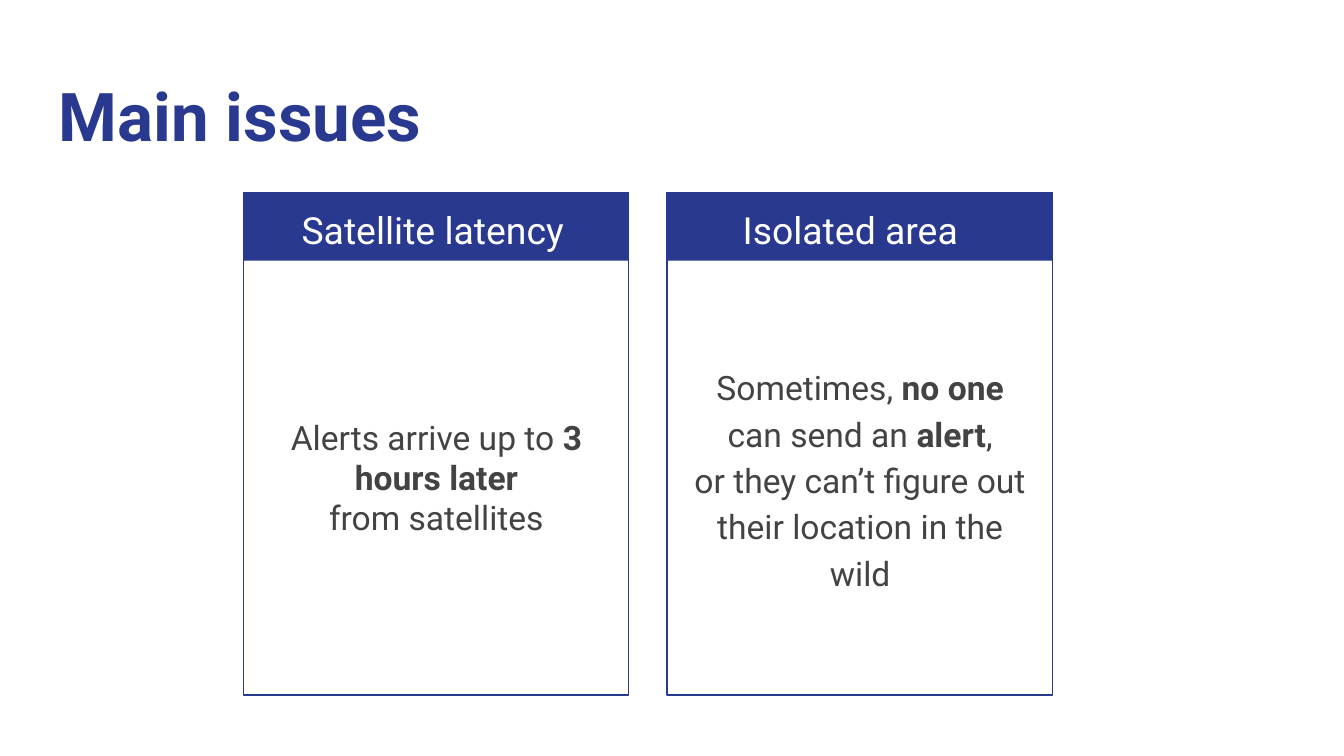
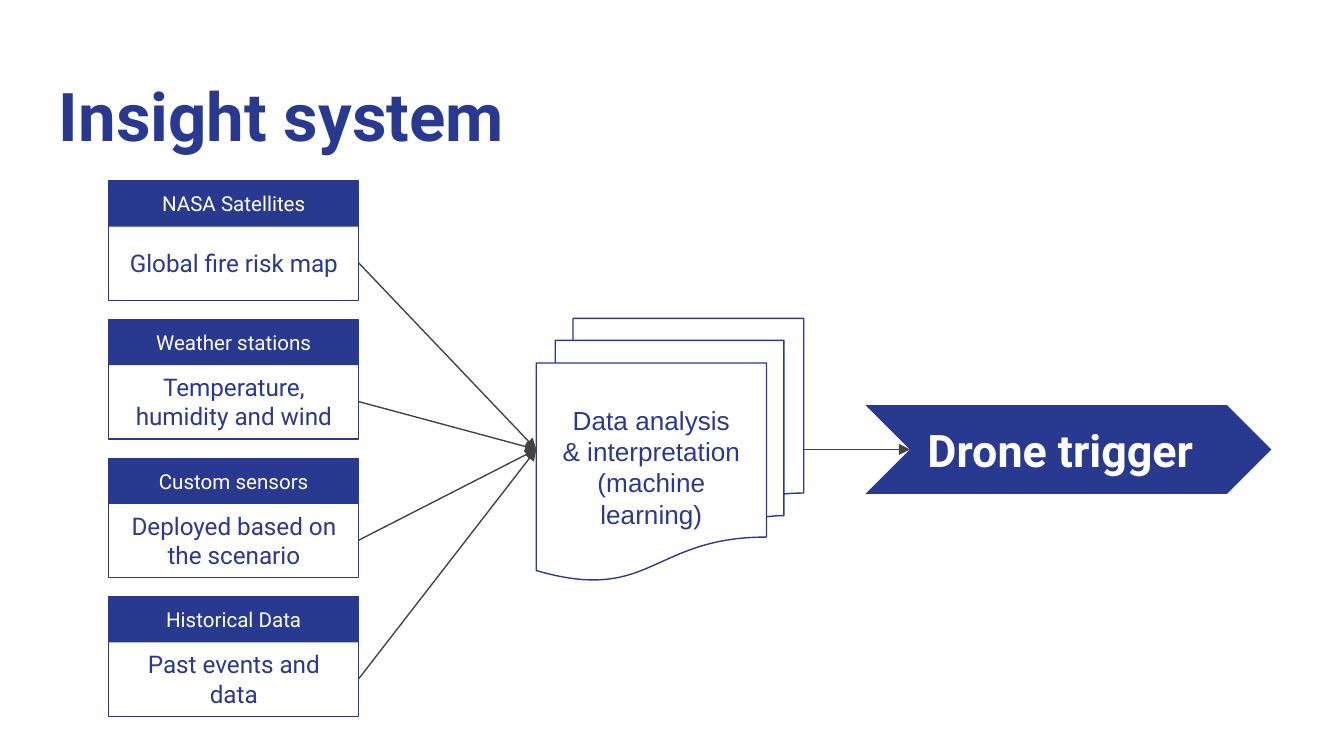
from dataclasses import dataclass

from lxml import etree
from pptx import Presentation
from pptx.dml.color import RGBColor
from pptx.enum import shapes as s, text as t
from pptx.oxml.ns import qn
from pptx.util import Pt

NAVY, GREY, WHITE = "2A3990", "434343", "FFFFFF"
SANS = "Roboto"
THIN = 0.75
MID = t.MSO_ANCHOR.MIDDLE
LEFT, CENTER = t.PP_ALIGN.LEFT, t.PP_ALIGN.CENTER


@dataclass(frozen=True)
class Box:
    x: float
    y: float
    w: float
    h: float

    def inset(self, dx: float, dy: float, w: float, h: float) -> "Box":
        """Give a box of size w by h, placed relative to this one's corner."""
        return Box(self.x + dx, self.y + dy, w, h)

    def emu(self) -> tuple:
        return Pt(self.x), Pt(self.y), Pt(self.w), Pt(self.h)


@dataclass(frozen=True)
class Style:
    size: float
    color: str
    bold: bool = False
    align: t.PP_ALIGN = CENTER
    face: str = SANS
    space: float = 1.0


@dataclass(frozen=True)
class Issue:
    label: str
    lines: tuple
    shift: float
    space: float


@dataclass(frozen=True)
class Feed:
    label: str
    body: str


TITLE = Style(36, NAVY, bold=True, align=LEFT)

ISSUES = (
    Issue("Satellite latency ",
          ("Alerts arrive up to **3 hours later**", "from satellites"), 5.8, 1.0),
    Issue("Isolated area",
          ("Sometimes, **no one** can send an **alert**,",
           "or they can’t figure out their location in the wild"), 0, 1.15),
)

FEEDS = (
    Feed("NASA Satellites", "Global fire risk map"),
    Feed("Weather stations", "Temperature, humidity and wind"),
    Feed("Custom sensors", "Deployed based on the scenario"),
    Feed("Historical Data", "Past events and data"),
)


def rgb(code: str) -> RGBColor:
    return RGBColor.from_string(code)


def write(shape, lines: tuple, style: Style, pad: float = 7.2, anchor=MID) -> None:
    """Fill a shape with paragraphs; text between ** marks is bold."""
    frame = shape.text_frame
    frame.word_wrap = True
    frame.auto_size = t.MSO_AUTO_SIZE.NONE
    frame.vertical_anchor = anchor
    frame.margin_left = frame.margin_right = Pt(pad)
    frame.margin_top = frame.margin_bottom = Pt(pad)
    for i, line in enumerate(lines):
        para = frame.add_paragraph() if i else frame.paragraphs[0]
        para.alignment = style.align
        para.line_spacing = style.space
        font = para.font
        font.name, font.size, font.bold = style.face, Pt(style.size), style.bold
        font.color.rgb = rgb(style.color)
        for j, part in enumerate(line.split("**")):
            if part:
                run = para.add_run()
                run.text = part
                if j % 2:
                    run.font.bold = True


def note(slide, box: Box, lines: tuple, style: Style, anchor=MID):
    shape = slide.shapes.add_textbox(*box.emu())
    write(shape, lines, style, anchor=anchor)
    return shape


def draw(shapes, kind: s.MSO_SHAPE, box: Box, fill: str = "", line: str = ""):
    shape = shapes.add_shape(kind, *box.emu())
    shape.shadow.inherit = False
    if fill:
        shape.fill.solid()
        shape.fill.fore_color.rgb = rgb(fill)
    else:
        shape.fill.background()
    if line:
        shape.line.color.rgb = rgb(line)
        shape.line.width = Pt(THIN)
    else:
        shape.line.fill.background()
    return shape


def panel(shapes, box: Box, head: float) -> None:
    """Draw an outlined frame with a filled header band."""
    draw(shapes, s.MSO_SHAPE.RECTANGLE, box.inset(0, 0, box.w, head), fill=NAVY)
    draw(shapes, s.MSO_SHAPE.RECTANGLE, box, line=NAVY)


def arrow(slide, x1: float, y1: float, x2: float, y2: float):
    link = slide.shapes.add_connector(
        s.MSO_CONNECTOR.STRAIGHT, Pt(x1), Pt(y1), Pt(x2), Pt(y2))
    link.line.color.rgb = rgb(GREY)
    link.line.width = Pt(THIN)
    etree.SubElement(link.line._get_or_add_ln(), qn("a:tailEnd"), type="triangle")
    etree.SubElement(link._element.spPr, qn("a:effectLst"))
    return link


def start(deck, title: str):
    """Add a blank slide with its title."""
    slide = deck.slides.add_slide(deck.slide_layouts[6])
    note(slide, Box(24.5, 32.5, 671, 47.5), (title,), TITLE, t.MSO_ANCHOR.TOP)
    return slide


def issues(deck) -> None:
    slide = start(deck, "Main issues")
    for i, issue in enumerate(ISSUES):
        box = Box(130.3 + 227 * i, 103, 206.6, 269.3)
        panel(slide.shapes.add_group_shape().shapes, box, 36.7)
        note(slide, box.inset(issue.shift, 0, 196.6, 36), (issue.label,),
             Style(20, WHITE, space=1.15))
        note(slide, box.inset(6, 42.4, 195, 220.3), issue.lines,
             Style(18, GREY, space=issue.space))


def system(deck) -> None:
    slide = start(deck, "Insight system")
    docs = Box(287.3, 170.6, 143.3, 140.4)
    stack = draw(slide.shapes, s.MSO_SHAPE.FLOWCHART_MULTIDOCUMENT, docs, WHITE, NAVY)
    write(stack, ("Data analysis", "& interpretation", "(machine learning)"),
          Style(14, NAVY, face="Arial"))
    mid = docs.y + docs.h / 2

    for i, feed in enumerate(FEEDS):
        box = Box(58.3, 97 + 74.25 * i, 133.9, 64)
        panel(slide.shapes, box, 24.5)
        note(slide, box.inset(0, 4.6, box.w, 15), (feed.label,), Style(11, WHITE))
        body = note(slide, box.inset(0, 24.1, box.w, 39.6), (feed.body,),
                    Style(13, NAVY))
        link = arrow(slide, box.x + box.w, box.y + 43.9, docs.x, mid)
        link.begin_connect(body, 3)
        link.end_connect(stack, 1)

    goal = Box(463.7, mid - 23.75, 217.4, 47.5)
    drone = draw(slide.shapes, s.MSO_SHAPE.CHEVRON, goal, fill=NAVY)
    write(drone, ("Drone trigger",), Style(24, WHITE, bold=True, align=LEFT), pad=9.4)
    link = arrow(slide, docs.x + docs.w, mid, goal.x + goal.h / 2, mid)
    link.begin_connect(stack, 3)


def main() -> None:
    deck = Presentation()
    deck.slide_width, deck.slide_height = Pt(720), Pt(405)
    issues(deck)
    system(deck)
    deck.save("out.pptx")


if __name__ == "__main__":
    main()
